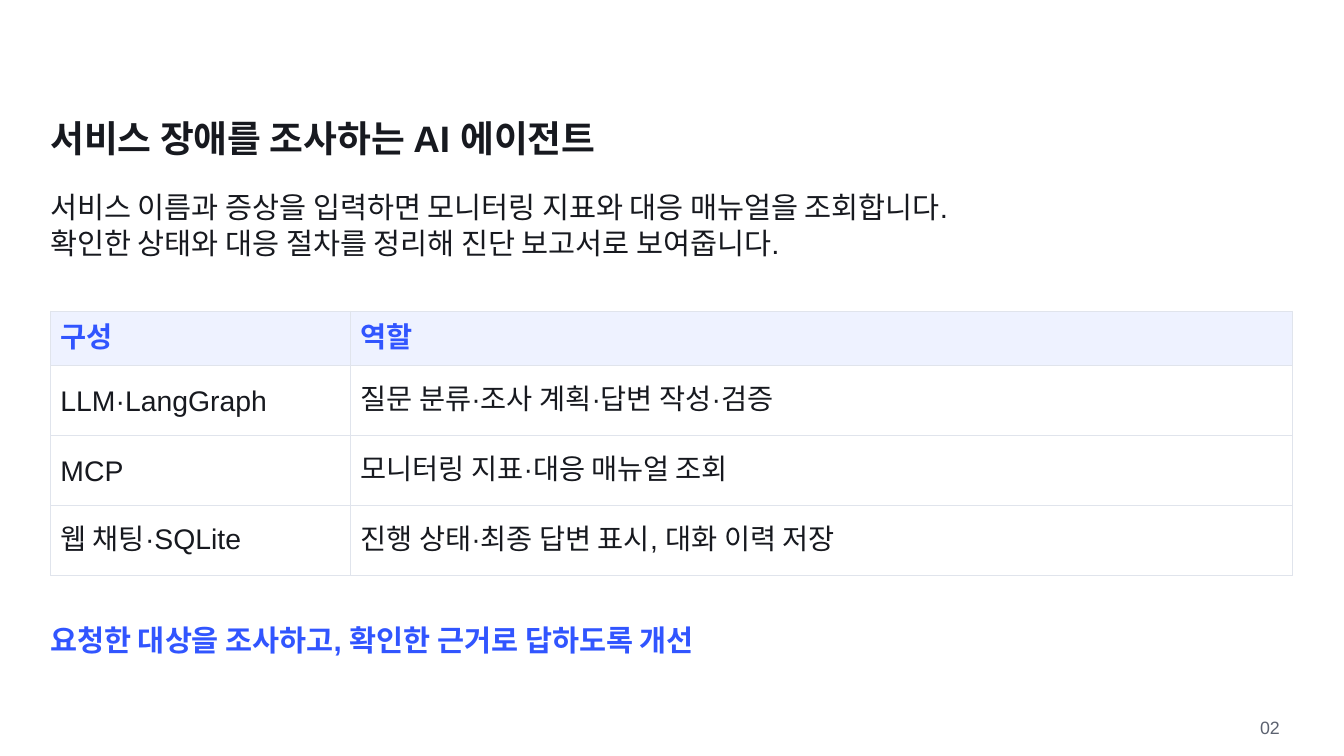
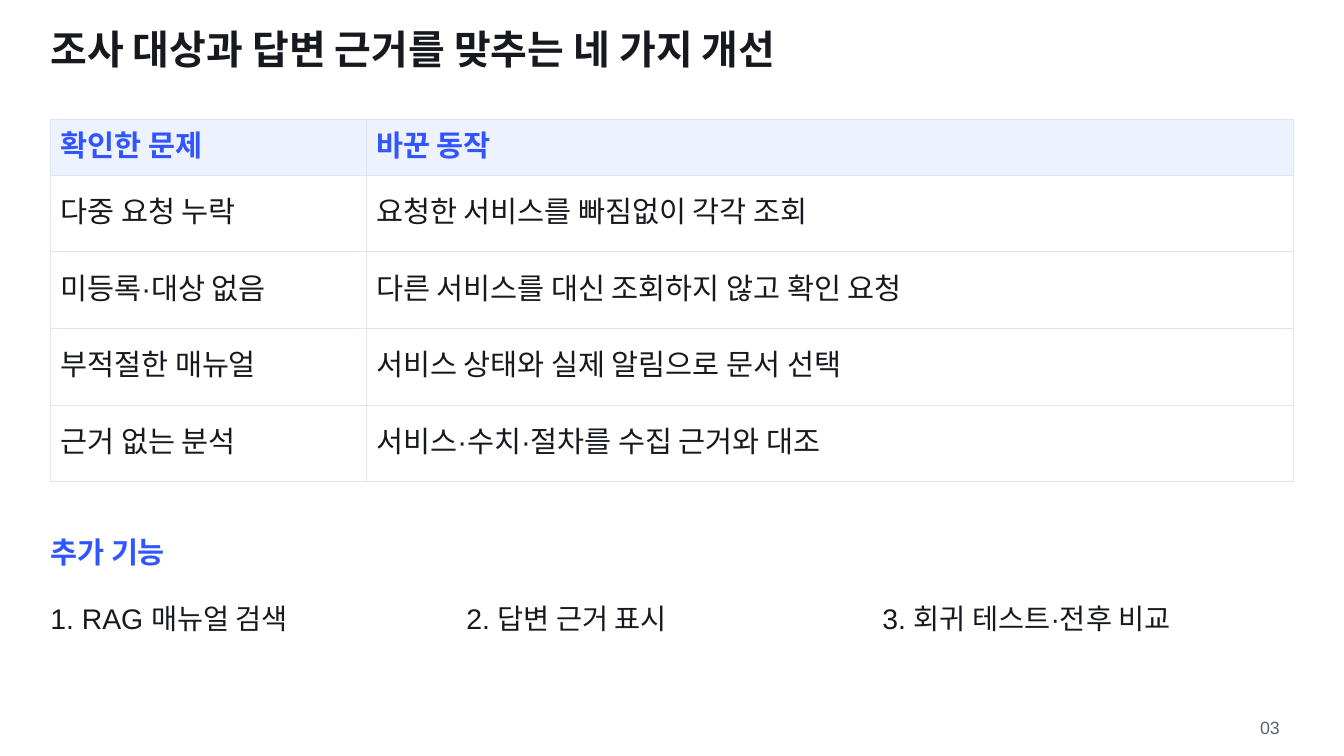
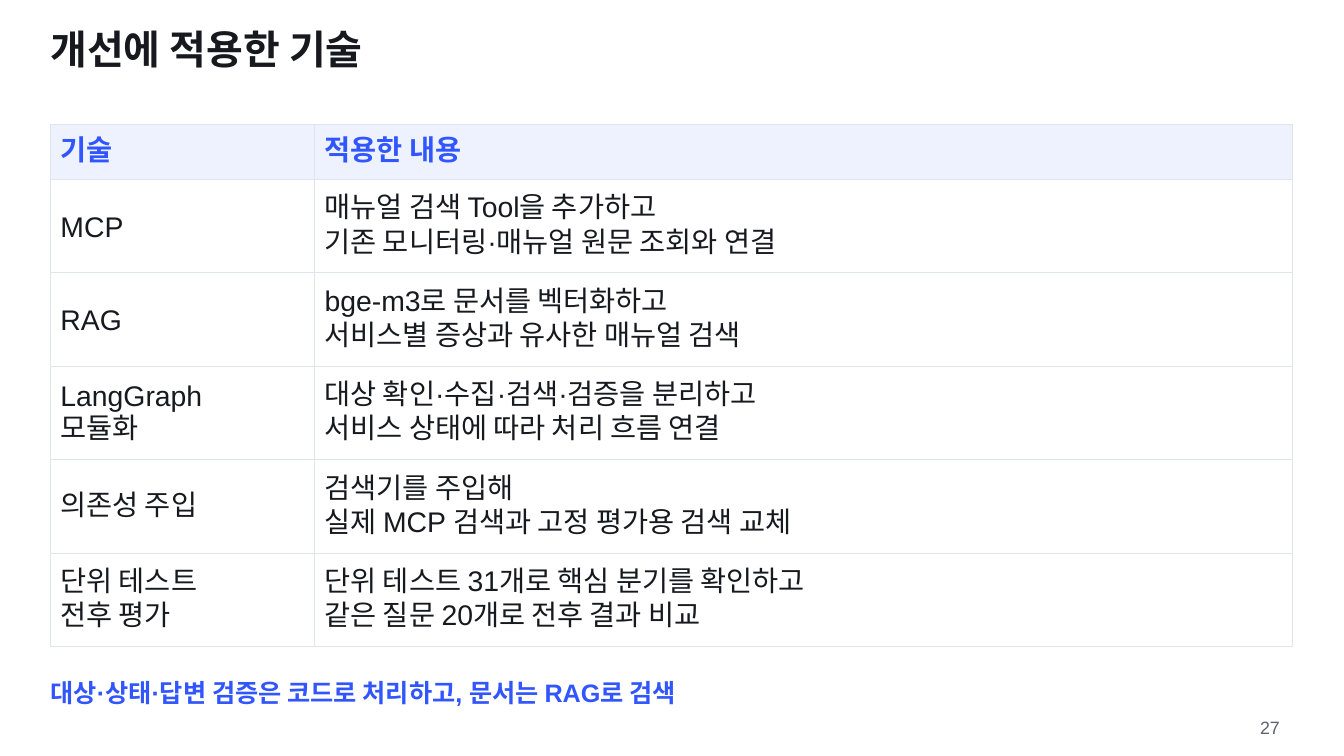
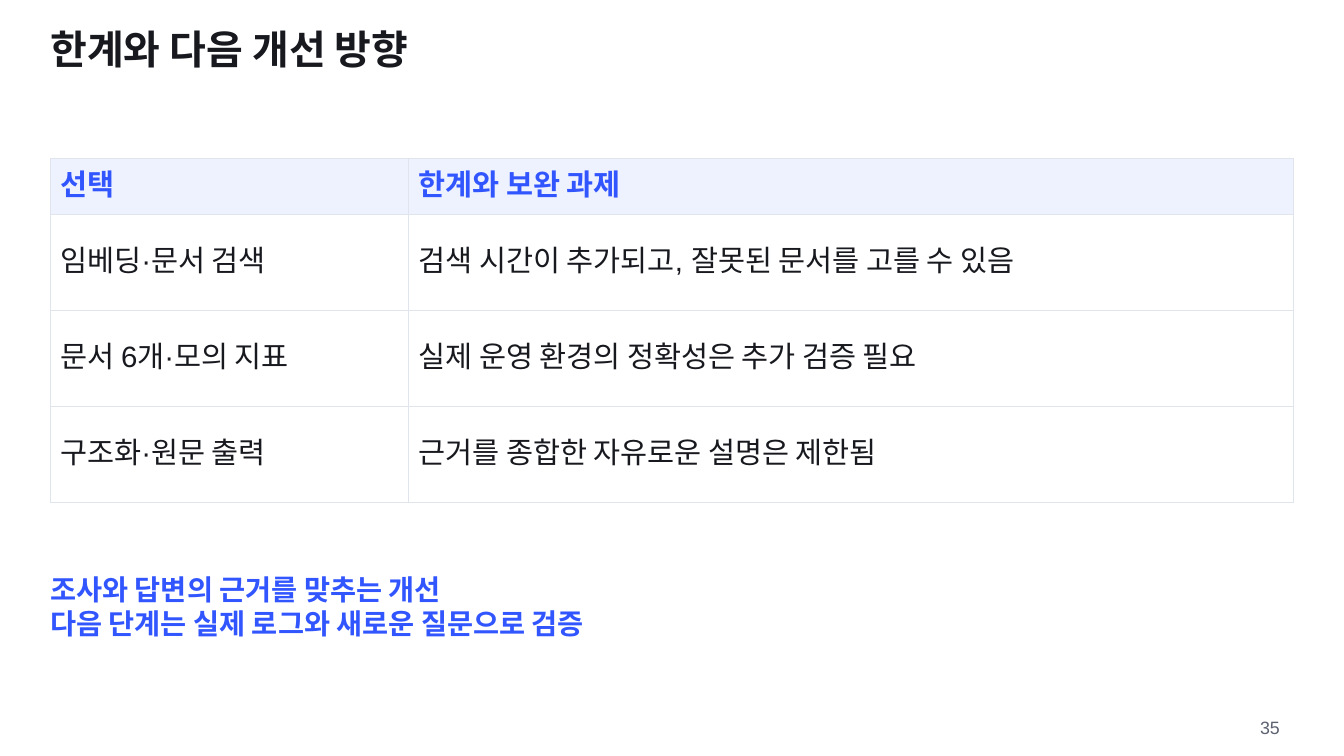
"""Build four slides on improving an AI agent that investigates service failures."""
from lxml.etree import SubElement
from pptx import Presentation
from pptx.dml.color import RGBColor
from pptx.enum.text import MSO_ANCHOR, MSO_AUTO_SIZE
from pptx.oxml.ns import qn
from pptx.util import Inches, Pt

INK, ACCENT, MUTED = "17191F", "3155FF", "5C6270"
HEADER_FILL, BODY_FILL, RULE = "EEF2FF", "FFFFFF", "E0E4EC"
FONT = "Arial"
LEFT, WIDTH = 0.75, 18.5
TITLE_AREA = (LEFT, 0.37, WIDTH, 0.99)
TITLE_SIZE, LARGE, MEDIUM = 42.8, 31.5, 30.4


def write(frame, lines, size, color, bold):
    for index, line in enumerate(lines.split("\n")):
        paragraph = frame.paragraphs[0] if index == 0 else frame.add_paragraph()
        paragraph.line_spacing = Pt(round(size * 1.2, 1))
        run = paragraph.add_run()
        run.text = line
        run.font.name = FONT
        run.font.size = Pt(size)
        run.font.bold = bold
        run.font.color.rgb = RGBColor.from_string(color)


def add_text(slide, area, lines, size, color=INK, bold=False):
    frame = slide.shapes.add_textbox(*map(Inches, area)).text_frame
    frame.margin_left = frame.margin_right = frame.margin_top = frame.margin_bottom = 0
    frame.word_wrap = True
    frame.auto_size = MSO_AUTO_SIZE.SHAPE_TO_FIT_TEXT
    write(frame, lines, size, color, bold)


pages = [
    {
        "number": "02",
        "title": "서비스 장애를 조사하는 AI 에이전트",
        "title_area": (LEFT, 1.72, WIDTH, 0.81),
        "title_size": 39.4,
        "intro": "서비스 이름과 증상을 입력하면 모니터링 지표와 대응 매뉴얼을 조회합니다.\n"
                 "확인한 상태와 대응 절차를 정리해 진단 보고서로 보여줍니다.",
        "top": 4.63, "columns": (4.47, 14.01), "heights": (0.81, 1.04), "size": MEDIUM,
        "rows": [
            ("구성", "역할"),
            ("LLM·LangGraph", "질문 분류·조사 계획·답변 작성·검증"),
            ("MCP", "모니터링 지표·대응 매뉴얼 조회"),
            ("웹 채팅·SQLite", "진행 상태·최종 답변 표시, 대화 이력 저장"),
        ],
        "message": "요청한 대상을 조사하고, 확인한 근거로 답하도록 개선",
        "message_area": (LEFT, 9.26, WIDTH, 0.9),
        "message_size": LARGE,
    },
    {
        "number": "03",
        "title": "조사 대상과 답변 근거를 맞추는 네 가지 개선",
        "top": 1.78, "columns": (4.7, 13.8), "heights": (0.82, 1.14), "size": LARGE,
        "rows": [
            ("확인한 문제", "바꾼 동작"),
            ("다중 요청 누락", "요청한 서비스를 빠짐없이 각각 조회"),
            ("미등록·대상 없음", "다른 서비스를 대신 조회하지 않고 확인 요청"),
            ("부적절한 매뉴얼", "서비스 상태와 실제 알림으로 문서 선택"),
            ("근거 없는 분석", "서비스·수치·절차를 수집 근거와 대조"),
        ],
        "message": "추가 기능",
        "message_area": (LEFT, 7.95, WIDTH, 0.65),
        "message_size": LARGE,
        "features": ["1. RAG 매뉴얼 검색", "2. 답변 근거 표시", "3. 회귀 테스트·전후 비교"],
    },
    {
        "number": "27",
        "title": "개선에 적용한 기술",
        "top": 1.85, "columns": (3.93, 14.55), "heights": (0.82, 1.39), "size": MEDIUM,
        "rows": [
            ("기술", "적용한 내용"),
            ("MCP", "매뉴얼 검색 Tool을 추가하고\n기존 모니터링·매뉴얼 원문 조회와 연결"),
            ("RAG", "bge-m3로 문서를 벡터화하고\n서비스별 증상과 유사한 매뉴얼 검색"),
            ("LangGraph\n모듈화", "대상 확인·수집·검색·검증을 분리하고\n서비스 상태에 따라 처리 흐름 연결"),
            ("의존성 주입", "검색기를 주입해\n실제 MCP 검색과 고정 평가용 검색 교체"),
            ("단위 테스트\n전후 평가", "단위 테스트 31개로 핵심 분기를 확인하고\n같은 질문 20개로 전후 결과 비교"),
        ],
        "message": "대상·상태·답변 검증은 코드로 처리하고, 문서는 RAG로 검색",
        "message_area": (LEFT, 10.08, 17.78, 0.52),
        "message_size": 27,
    },
    {
        "number": "35",
        "title": "한계와 다음 개선 방향",
        "top": 2.36, "columns": (5.33, 13.17), "heights": (0.83, 1.43), "size": LARGE,
        "rows": [
            ("선택", "한계와 보완 과제"),
            ("임베딩·문서 검색", "검색 시간이 추가되고, 잘못된 문서를 고를 수 있음"),
            ("문서 6개·모의 지표", "실제 운영 환경의 정확성은 추가 검증 필요"),
            ("구조화·원문 출력", "근거를 종합한 자유로운 설명은 제한됨"),
        ],
        "message": "조사와 답변의 근거를 맞추는 개선\n다음 단계는 실제 로그와 새로운 질문으로 검증",
        "message_area": (LEFT, 8.51, WIDTH, 1.24),
        "message_size": MEDIUM,
    },
]

deck = Presentation()
deck.slide_width, deck.slide_height = Inches(20), Inches(11.25)

for page in pages:
    slide = deck.slides.add_slide(deck.slide_layouts[6])
    add_text(slide, page.get("title_area", TITLE_AREA), page["title"],
             page.get("title_size", TITLE_SIZE), bold=True)
    if "intro" in page:
        add_text(slide, (LEFT, 2.82, WIDTH, 1.3), page["intro"], LARGE)

    rows, columns = page["rows"], page["columns"]
    header_height, body_height = page["heights"]
    total_height = header_height + body_height * (len(rows) - 1)
    table = slide.shapes.add_table(
        len(rows), len(columns), Inches(LEFT), Inches(page["top"]),
        Inches(sum(columns)), Inches(total_height)).table
    table.horz_banding = False
    for column, width in zip(table.columns, columns):
        column.width = Inches(width)
    for row_index, row in enumerate(rows):
        is_header = row_index == 0
        table.rows[row_index].height = Inches(header_height if is_header else body_height)
        for column_index, lines in enumerate(row):
            cell = table.cell(row_index, column_index)
            cell.margin_left = cell.margin_right = Inches(0.15)
            cell.margin_top = cell.margin_bottom = Inches(0.15)
            cell.vertical_anchor = MSO_ANCHOR.MIDDLE
            properties = cell._tc.get_or_add_tcPr()
            for side in ("a:lnL", "a:lnR", "a:lnT", "a:lnB"):
                border = SubElement(properties, qn(side), w=str(Pt(0.75)))
                SubElement(SubElement(border, qn("a:solidFill")), qn("a:srgbClr"), val=RULE)
            cell.fill.solid()
            cell.fill.fore_color.rgb = RGBColor.from_string(HEADER_FILL if is_header else BODY_FILL)
            write(cell.text_frame, lines, page["size"], ACCENT if is_header else INK, is_header)

    add_text(slide, page["message_area"], page["message"], page["message_size"], ACCENT, True)
    for index, feature in enumerate(page.get("features", [])):
        add_text(slide, (LEFT + index * 6.19, 8.95, 5.88, 1.11), feature, MEDIUM)
    add_text(slide, (18.75, 10.66, 0.55, 0.4), page["number"], 19.1, MUTED)

deck.save("out.pptx")
